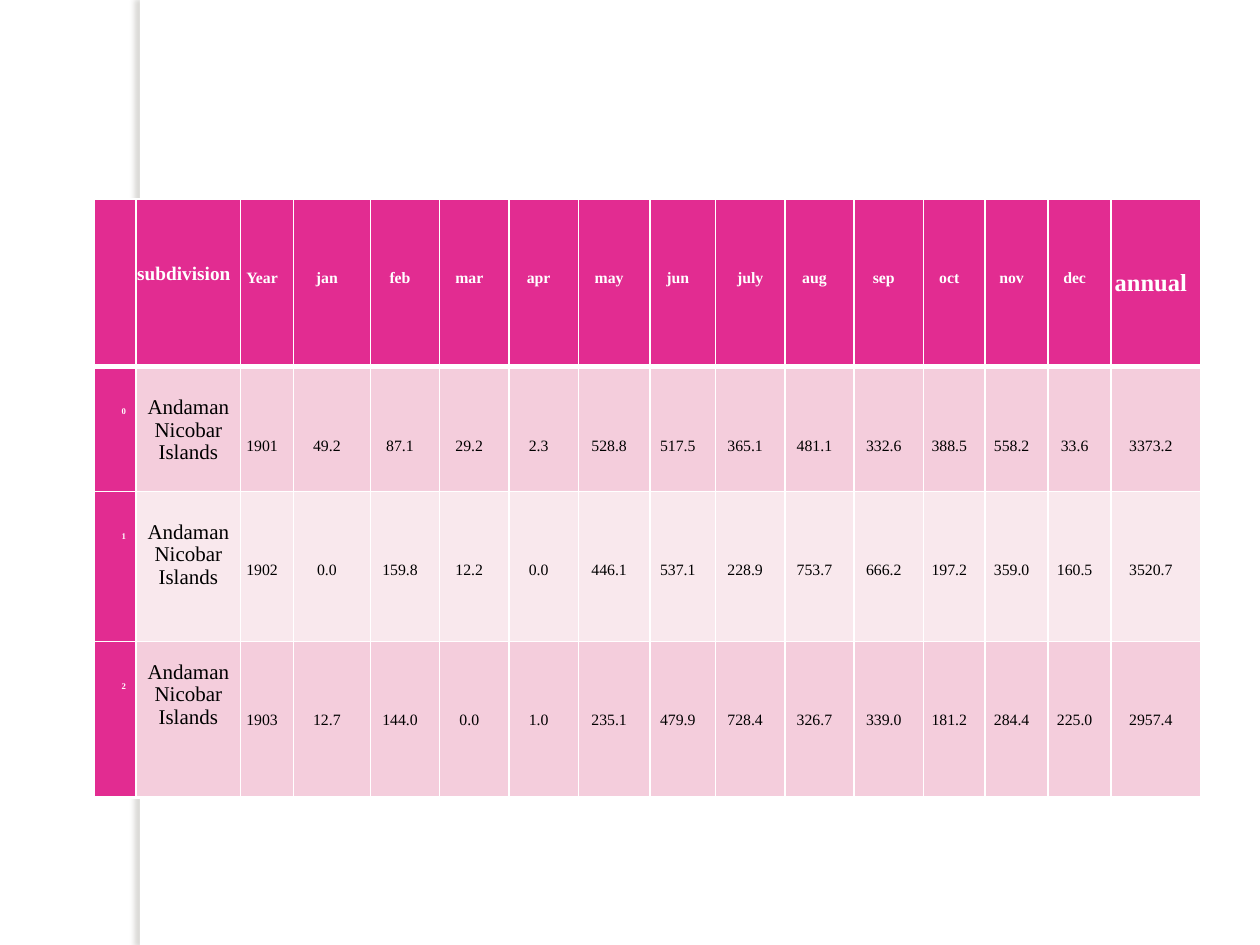
"""Build a slide with a monthly rainfall table for the Andaman Nicobar Islands."""
from lxml.etree import SubElement
from pptx import Presentation
from pptx.dml.color import RGBColor
from pptx.enum.shapes import MSO_SHAPE
from pptx.enum.text import MSO_ANCHOR, PP_ALIGN
from pptx.oxml import parse_xml
from pptx.oxml.ns import nsdecls, qn
from pptx.util import Inches, Pt

HEADINGS = ["", "subdivision", "Year", "jan", "feb", "mar", "apr", "may", "jun",
            "july", "aug", "sep", "oct", "nov", "dec", "annual"]
REGION = "Andaman Nicobar Islands"
RAINFALL = {
    "1901": ["49.2", "87.1", "29.2", "2.3", "528.8", "517.5", "365.1", "481.1",
             "332.6", "388.5", "558.2", "33.6", "3373.2"],
    "1902": ["0.0", "159.8", "12.2", "0.0", "446.1", "537.1", "228.9", "753.7",
             "666.2", "197.2", "359.0", "160.5", "3520.7"],
    "1903": ["12.7", "144.0", "0.0", "1.0", "235.1", "479.9", "728.4", "326.7",
             "339.0", "181.2", "284.4", "225.0", "2957.4"],
}
COLUMN_WIDTHS = [0.33, 0.83, 0.42, 0.61, 0.55, 0.55, 0.55, 0.57, 0.52,
                 0.55, 0.55, 0.55, 0.49, 0.5, 0.5, 0.71]
ROW_HEIGHTS = [1.33, 0.99, 1.19, 1.24]
REGION_TOPS = [0.24, 0.24, 0.16]
TABLE_LEFT, TABLE_TOP = 0.75, 1.58

THEME = {
    "font": "Times New Roman",
    "white": "FFFFFF", "black": "000000", "accent": "E22C91",
    "bands": ["F4CDDC", "F9E8ED"], "shadow": "736F63",
    "index": 5, "body": 9, "subdivision": 11, "region": 12, "annual": 14,
    "thin": 1, "foot": 1.5, "thick": 3,
}


def write_cell(cell, text, *, fill, size=THEME["body"], color=THEME["black"], bold=False,
               align=PP_ALIGN.CENTER, top=0.56, right=0.08, spacing=None):
    cell.fill.solid()
    cell.fill.fore_color.rgb = RGBColor.from_string(fill)
    cell.vertical_anchor = MSO_ANCHOR.TOP
    cell.margin_left = cell.margin_bottom = 0
    cell.margin_top, cell.margin_right = Inches(top), Inches(right)
    para = cell.text_frame.paragraphs[0]
    para.alignment = align
    para.line_spacing = spacing
    para.font.size = Pt(size)
    if text:
        span = para.add_run()
        span.text = text
        span.font.name = THEME["font"]
        span.font.size = Pt(size)
        span.font.bold = bold
        span.font.color.rgb = RGBColor.from_string(color)


def draw_borders(cell, top, bottom):
    properties = cell._tc.get_or_add_tcPr()
    widths = {"lnL": THEME["thin"], "lnR": THEME["thin"], "lnT": top, "lnB": bottom}
    for position, (side, width) in enumerate(widths.items()):
        line = parse_xml(f'<a:{side} {nsdecls("a")} w="{Pt(width)}"/>')
        fill = SubElement(line, qn("a:solidFill"))
        SubElement(fill, qn("a:srgbClr"), val=THEME["white"])
        properties.insert(position, line)


def add_side_strip(page):
    strip = page.shapes.add_shape(MSO_SHAPE.RECTANGLE, Inches(1.11), 0, Inches(0.08), Inches(7.5))
    strip.fill.solid()
    strip.fill.fore_color.rgb = RGBColor.from_string(THEME["white"])
    strip.line.fill.background()
    strip.shadow.inherit = False
    effects = strip._element.spPr.find(qn("a:effectLst"))
    shadow = SubElement(effects, qn("a:outerShdw"), blurRad=str(Pt(3)), dist=str(Pt(3)),
                        dir="10800000", algn="ctr", rotWithShape="0")
    color = SubElement(shadow, qn("a:srgbClr"), val=THEME["shadow"])
    SubElement(color, qn("a:alpha"), val="25000")


def add_rainfall_table(page):
    frame = page.shapes.add_table(
        len(ROW_HEIGHTS), len(COLUMN_WIDTHS), Inches(TABLE_LEFT), Inches(TABLE_TOP),
        Inches(sum(COLUMN_WIDTHS)), Inches(sum(ROW_HEIGHTS)))
    table = frame.table
    table.horz_banding = False
    for column, width in zip(table.columns, COLUMN_WIDTHS):
        column.width = Inches(width)
    for row, height in zip(table.rows, ROW_HEIGHTS):
        row.height = Inches(height)

    heading_formats = {
        "subdivision": {"size": THEME["subdivision"], "align": PP_ALIGN.RIGHT, "top": 0.51},
        "july": {"right": 0},
        "annual": {"size": THEME["annual"]},
    }
    label = {"fill": THEME["accent"], "color": THEME["white"], "bold": True}
    for column, heading in enumerate(HEADINGS):
        write_cell(table.cell(0, column), heading, **label, **heading_formats.get(heading, {}))

    for index, (year, amounts) in enumerate(RAINFALL.items()):
        cells = table.rows[index + 1].cells
        band = THEME["bands"][index % 2]
        write_cell(cells[0], str(index), **label, size=THEME["index"],
                   align=PP_ALIGN.RIGHT, top=0.32)
        write_cell(cells[1], REGION, fill=band, size=THEME["region"],
                   top=REGION_TOPS[index], right=0, spacing=0.96)
        for column, text in enumerate([year, *amounts], start=2):
            write_cell(cells[column], text, fill=band)

    edges = [THEME[name] for name in ("thin", "thick", "thin", "thin", "foot")]
    for row, top, bottom in zip(table.rows, edges, edges[1:]):
        for cell in row.cells:
            draw_borders(cell, top, bottom)


def main():
    deck = Presentation()
    deck.slide_width, deck.slide_height = Inches(10), Inches(7.5)
    page = deck.slides.add_slide(deck.slide_layouts[6])
    add_side_strip(page)
    add_rainfall_table(page)
    deck.save("out.pptx")


if __name__ == "__main__":
    main()
